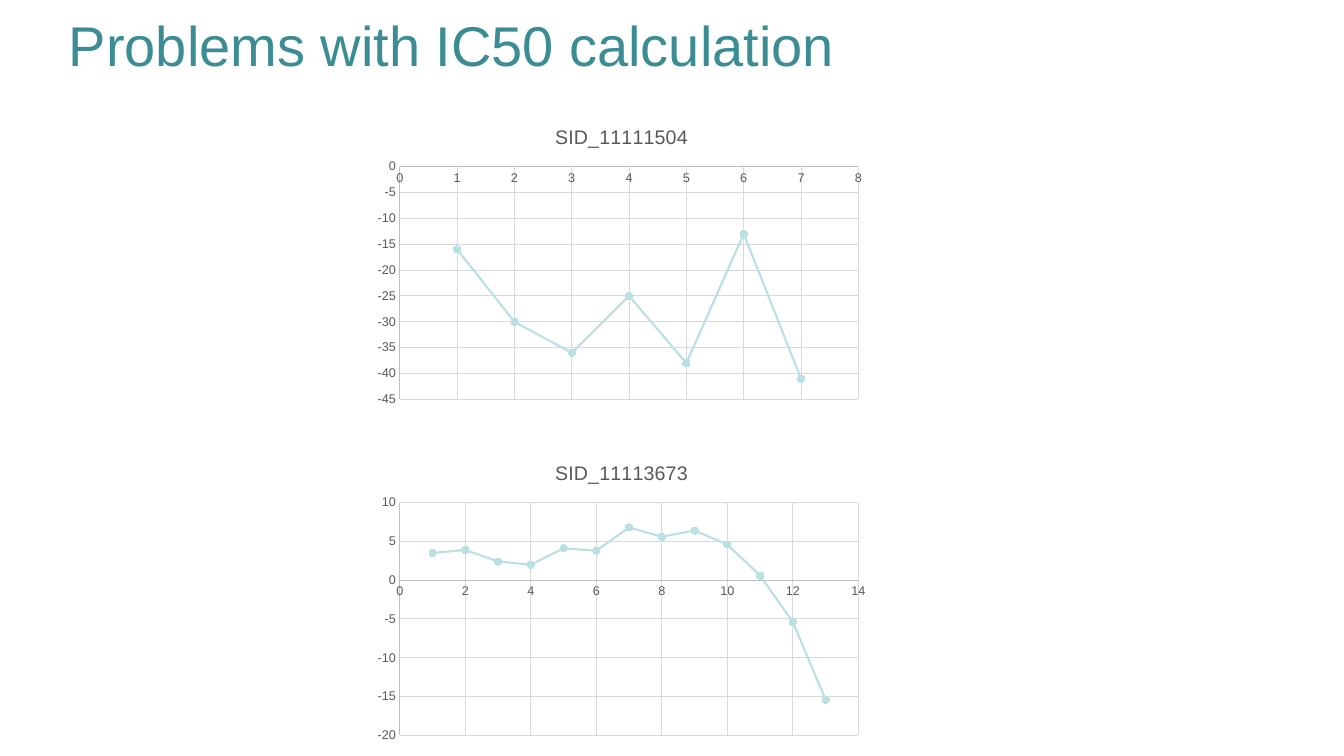
from dataclasses import dataclass

from lxml.etree import SubElement
from pptx import Presentation
from pptx.chart.data import XyChartData
from pptx.dml.color import RGBColor
from pptx.enum.chart import XL_CHART_TYPE, XL_MARKER_STYLE, XL_TICK_MARK
from pptx.enum.text import MSO_ANCHOR, MSO_AUTO_SIZE, PP_ALIGN
from pptx.oxml.ns import qn
from pptx.util import Pt


@dataclass(frozen=True)
class Theme:
    font: str = "Arial"
    heading: RGBColor = RGBColor(0x3C, 0x8C, 0x93)
    label: RGBColor = RGBColor(0x59, 0x59, 0x59)
    axis: RGBColor = RGBColor(0xBF, 0xBF, 0xBF)
    grid: RGBColor = RGBColor(0xD9, 0xD9, 0xD9)
    curve: RGBColor = RGBColor(0xBB, 0xE0, 0xE3)
    heading_size: Pt = Pt(40)
    chart_title_size: Pt = Pt(14)
    tick_size: Pt = Pt(9)


THEME = Theme()

# Each compound: name, responses at doses 1, 2, 3..., x range and step, y range
COMPOUNDS = [
    ("SID_11111504", [-16, -30, -36, -25, -38, -13, -41],
     (0, 8, 1), (-45, 0, 5)),
    ("SID_11113673",
     [3.5, 3.9, 2.4, 2, 4.1, 3.8, 6.8, 5.6, 6.4, 4.6, 0.6, -5.4, -15.4],
     (0, 14, 2), (-20, 10, 5)),
]
CHART_LEFT, CHART_TOP = Pt(264), Pt(78)
CHART_WIDTH, CHART_HEIGHT = Pt(360), Pt(216)
CHART_PITCH = Pt(240)
PLOT_AREA = {"x": 0.06, "y": 0.19, "w": 0.91, "h": 0.77}


def style_font(font, size, color):
    font.name = THEME.font
    font.size = size
    font.color.rgb = color
    font.bold = False


def style_line(line, color, width):
    line.color.rgb = color
    line.width = width


def add_heading(slide, text):
    heading = slide.shapes.title
    heading.left, heading.top = Pt(42), Pt(3.6)
    heading.width, heading.height = Pt(720.7), Pt(90)
    frame = heading.text_frame
    frame.word_wrap = True
    frame.auto_size = MSO_AUTO_SIZE.NONE
    frame.vertical_anchor = MSO_ANCHOR.TOP
    paragraph = frame.paragraphs[0]
    paragraph.alignment = PP_ALIGN.LEFT
    run = paragraph.add_run()
    run.text = text
    style_font(run.font, THEME.heading_size, THEME.heading)


def style_axis(axis, limits):
    axis.minimum_scale, axis.maximum_scale, axis.major_unit = limits
    axis.major_tick_mark = axis.minor_tick_mark = XL_TICK_MARK.NONE
    axis.has_major_gridlines = True
    style_line(axis.major_gridlines.format.line, THEME.grid, Pt(0.75))
    style_line(axis.format.line, THEME.axis, Pt(0.75))
    style_font(axis.tick_labels.font, THEME.tick_size, THEME.label)
    axis.tick_labels.number_format = "General"
    axis.tick_labels.number_format_is_linked = False


def place_plot_area(chart):
    """Fix the inner plot area as fractions of the chart."""
    plot_area = chart.element.find(".//" + qn("c:plotArea"))
    layout = plot_area.find(qn("c:layout"))
    if layout is None:
        layout = SubElement(plot_area, qn("c:layout"))
        plot_area.insert(0, layout)
    manual = SubElement(layout, qn("c:manualLayout"))
    settings = {"layoutTarget": "inner", "xMode": "edge", "yMode": "edge",
                **PLOT_AREA}
    for tag, value in settings.items():
        SubElement(manual, qn("c:" + tag)).set("val", str(value))


def add_response_chart(slide, top, compound, responses, x_limits, y_limits):
    data = XyChartData()
    points = data.add_series("Series 1")
    for dose, response in enumerate(responses, start=1):
        points.add_data_point(dose, response)
    chart = slide.shapes.add_chart(
        XL_CHART_TYPE.XY_SCATTER_LINES, CHART_LEFT, top,
        CHART_WIDTH, CHART_HEIGHT, data).chart
    chart.font.name = THEME.font
    chart.has_legend = False

    # Compound name
    chart.has_title = True
    chart.chart_title.include_in_layout = False
    name_run = chart.chart_title.text_frame.paragraphs[0].add_run()
    name_run.text = compound
    style_font(name_run.font, THEME.chart_title_size, THEME.label)

    # Axes and plot area
    style_axis(chart.category_axis, x_limits)
    style_axis(chart.value_axis, y_limits)
    place_plot_area(chart)

    # Response curve
    chart.plots[0].vary_by_categories = False
    curve = chart.plots[0].series[0]
    curve.smooth = False
    style_line(curve.format.line, THEME.curve, Pt(1.5))
    curve.marker.style = XL_MARKER_STYLE.CIRCLE
    curve.marker.size = 5
    curve.marker.format.fill.solid()
    curve.marker.format.fill.fore_color.rgb = THEME.curve
    style_line(curve.marker.format.line, THEME.curve, Pt(0.75))


def main():
    deck = Presentation()
    deck.slide_width, deck.slide_height = Pt(960), Pt(540)
    slide = deck.slides.add_slide(deck.slide_layouts.get_by_name("Title Only"))

    # Charts stacked at an equal pitch
    for row, compound in enumerate(COMPOUNDS):
        add_response_chart(slide, CHART_TOP + row * CHART_PITCH, *compound)

    # Slide title
    add_heading(slide, "Problems with IC50 calculation")
    deck.save("out.pptx")


if __name__ == "__main__":
    main()
